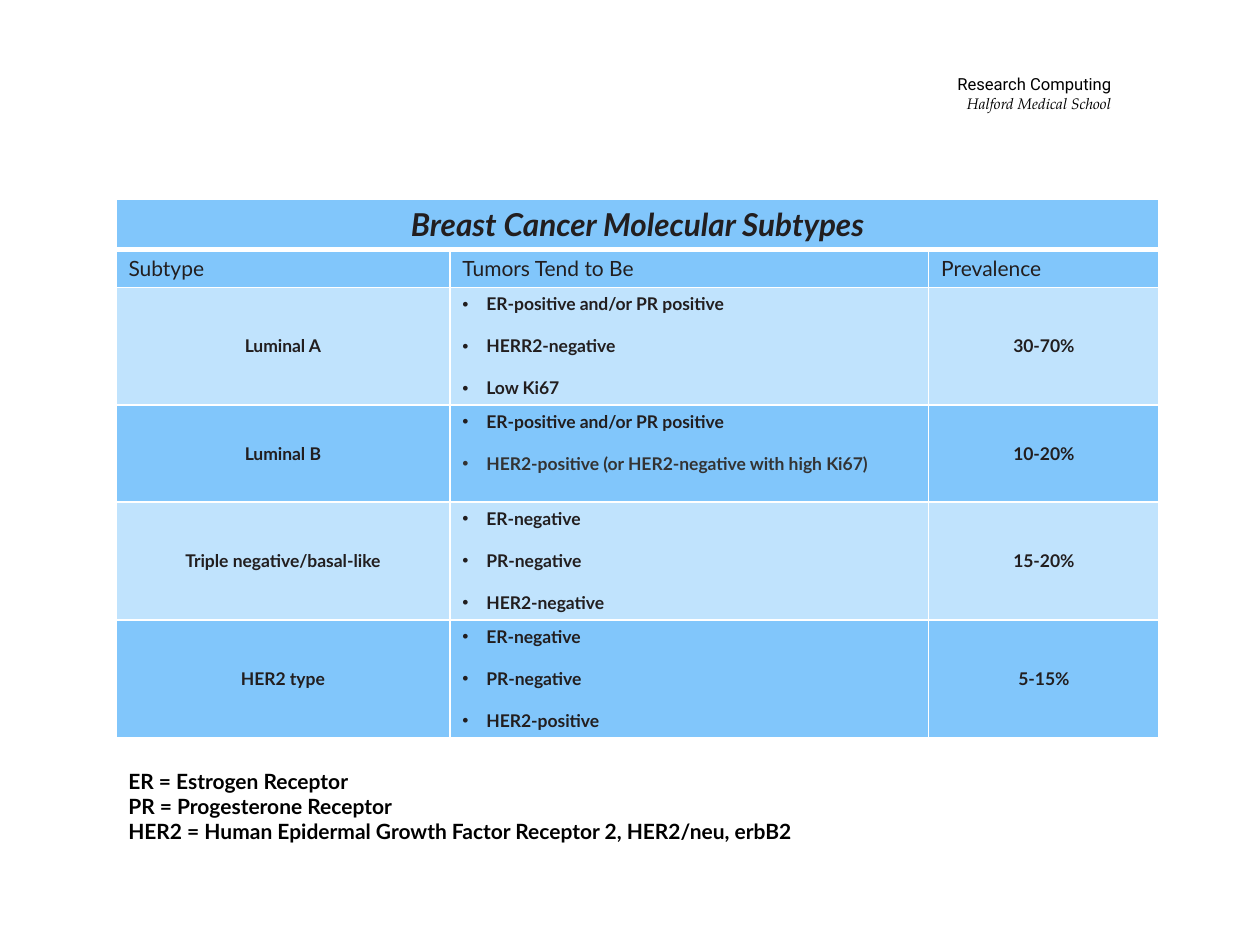
from dataclasses import dataclass

import pptx
import pptx.dml.color
import pptx.enum.text
import pptx.oxml
import pptx.oxml.ns
import pptx.util
from pptx.util import Inches

ALIGN = pptx.enum.text.PP_ALIGN
ANCHOR = pptx.enum.text.MSO_ANCHOR


@dataclass(frozen=True)
class Theme:
    body_font: str = "Lato"
    ink: str = "221E1F"
    soft_ink: str = "333333"
    black: str = "000000"
    border: str = "FFFFFF"
    dark_band: str = "81C6FB"
    light_band: str = "C0E3FD"
    title_size: float = 18
    heading_size: float = 12
    body_size: float = 10
    thin_line: float = 1
    thick_line: float = 3


@dataclass(frozen=True)
class TextStyle:
    size: float
    color: str
    font: str = "Lato"
    bold: bool = False
    italic: bool = False
    align: ALIGN = ALIGN.LEFT


@dataclass(frozen=True)
class Subtype:
    name: str
    traits: tuple[str, ...]
    prevalence: str
    height: float = 0.93


THEME = Theme()
TITLE = TextStyle(THEME.title_size, THEME.ink, bold=True, italic=True, align=ALIGN.CENTER)
HEADING = TextStyle(THEME.heading_size, THEME.ink)
LABEL = TextStyle(THEME.body_size, THEME.ink, bold=True, align=ALIGN.CENTER)
TRAIT = TextStyle(THEME.body_size, THEME.ink, bold=True)
SOFT_TRAIT = TextStyle(THEME.body_size, THEME.soft_ink, bold=True)
LEGEND = TextStyle(THEME.heading_size, THEME.black, bold=True)
DEPARTMENT = TextStyle(9.5, THEME.black, font="Roboto", align=ALIGN.RIGHT)
SCHOOL = TextStyle(8.7, THEME.black, font="TeX Gyre Pagella", italic=True, align=ALIGN.RIGHT)

HIGH_KI67 = "HER2-positive (or HER2-negative with high Ki67)"
HEADINGS = ("Subtype", "Tumors Tend to Be", "Prevalence")
SUBTYPES = (
    Subtype("Luminal A", ("ER-positive and/or PR positive", "HERR2-negative", "Low Ki67"), "30-70%"),
    Subtype("Luminal B", ("ER-positive and/or PR positive", HIGH_KI67), "10-20%", 0.77),
    Subtype("Triple negative/basal-like", ("ER-negative", "PR-negative", "HER2-negative"), "15-20%"),
    Subtype("HER2 type", ("ER-negative", "PR-negative", "HER2-positive"), "5-15%"),
)
COLUMN_WIDTHS = (2.65, 3.8, 1.83)
ROW_HEIGHTS = (0.4, 0.3, *(subtype.height for subtype in SUBTYPES))
LEFT, TABLE_TOP, WIDTH = 0.92, 1.58, 8.27


def write_lines(frame, lines: list[tuple[str, TextStyle]]) -> None:
    for index, (text, style) in enumerate(lines):
        para = frame.paragraphs[0] if index == 0 else frame.add_paragraph()
        para.text = text
        para.alignment = style.align
        para.font.name = style.font
        para.font.size = pptx.util.Pt(style.size)
        para.font.bold = style.bold
        para.font.italic = style.italic
        para.font.color.rgb = pptx.dml.color.RGBColor.from_string(style.color)


def add_text(page, left: float, top: float, width: float, height: float,
             lines: list[tuple[str, TextStyle]]):
    box = page.shapes.add_textbox(Inches(left), Inches(top), Inches(width), Inches(height))
    box.text_frame.word_wrap = True
    write_lines(box.text_frame, lines)
    return box


def bullet_paragraphs(frame) -> None:
    for index, para in enumerate(frame.paragraphs):
        if index:
            para.space_before = pptx.util.Pt(12)
        properties = para._p.get_or_add_pPr()
        properties.set("marL", str(Inches(0.19)))
        properties.set("indent", str(-Inches(0.19)))
        for tag, attribute, value in (("buFont", "typeface", "Arial"), ("buChar", "char", "•")):
            bullet = pptx.oxml.parse_xml(
                f'<a:{tag} {pptx.oxml.ns.nsdecls("a")} {attribute}="{value}"/>')
            following = properties.find(pptx.oxml.ns.qn("a:defRPr"))
            if following is None:
                properties.append(bullet)
            else:
                following.addprevious(bullet)


def format_cell(cell, fill: str, top: float, bottom: float) -> None:
    cell.fill.solid()
    cell.fill.fore_color.rgb = pptx.dml.color.RGBColor.from_string(fill)
    sides = (("L", THEME.thin_line), ("R", THEME.thin_line), ("T", top), ("B", bottom))
    for index, (side, width) in enumerate(sides):
        line = pptx.oxml.parse_xml(
            f'<a:ln{side} {pptx.oxml.ns.nsdecls("a")} w="{pptx.util.Pt(width)}">'
            f'<a:solidFill><a:srgbClr val="{THEME.border}"/></a:solidFill></a:ln{side}>')
        cell._tc.get_or_add_tcPr().insert(index, line)


def format_table(table) -> None:
    table.first_row = False
    table.horz_banding = False
    for column, width in zip(table.columns, COLUMN_WIDTHS):
        column.width = Inches(width)
    for index, (row, height) in enumerate(zip(table.rows, ROW_HEIGHTS)):
        row.height = Inches(height)
        fill = THEME.light_band if index in (2, 4) else THEME.dark_band
        top = THEME.thick_line if index == 1 else THEME.thin_line
        bottom = THEME.thick_line if index == 0 else THEME.thin_line
        for cell in row.cells:
            cell.vertical_anchor = ANCHOR.MIDDLE
            format_cell(cell, fill, top, bottom)


def add_subtype_table(page) -> None:
    table = page.shapes.add_table(
        len(ROW_HEIGHTS), len(COLUMN_WIDTHS), Inches(LEFT), Inches(TABLE_TOP),
        Inches(WIDTH), Inches(sum(ROW_HEIGHTS))).table
    format_table(table)
    table.cell(0, 0).merge(table.cell(0, 2))
    write_lines(table.cell(0, 0).text_frame, [("Breast Cancer Molecular Subtypes", TITLE)])
    for column, heading in enumerate(HEADINGS):
        write_lines(table.cell(1, column).text_frame, [(heading, HEADING)])
    for row, subtype in enumerate(SUBTYPES, start=2):
        write_lines(table.cell(row, 0).text_frame, [(subtype.name, LABEL)])
        write_lines(table.cell(row, 2).text_frame, [(subtype.prevalence, LABEL)])
        traits = table.cell(row, 1)
        traits.vertical_anchor = ANCHOR.TOP
        write_lines(traits.text_frame, [
            (trait, SOFT_TRAIT if trait == HIGH_KI67 else TRAIT) for trait in subtype.traits])
        bullet_paragraphs(traits.text_frame)


def main() -> None:
    deck = pptx.Presentation()
    deck.slide_width, deck.slide_height = Inches(10), Inches(7.5)
    page = deck.slides.add_slide(deck.slide_layouts[6])
    affiliation = add_text(page, 6.37, 0.41, 2.53, 0.66, [
        ("Research Computing", DEPARTMENT), ("Halford Medical School", SCHOOL)])
    frame = affiliation.text_frame
    frame.vertical_anchor = ANCHOR.MIDDLE
    frame.margin_left = frame.margin_right = Inches(0.08)
    frame.margin_top = frame.margin_bottom = Inches(0.04)
    add_subtype_table(page)
    legend = add_text(page, LEFT, 6.05, WIDTH, 0.71, [
        (text, LEGEND) for text in (
            "ER = Estrogen Receptor",
            "PR = Progesterone Receptor",
            "HER2 = Human Epidermal Growth Factor Receptor 2, HER2/neu, erbB2")])
    legend.text_frame.auto_size = pptx.enum.text.MSO_AUTO_SIZE.SHAPE_TO_FIT_TEXT
    deck.save("out.pptx")


if __name__ == "__main__":
    main()
